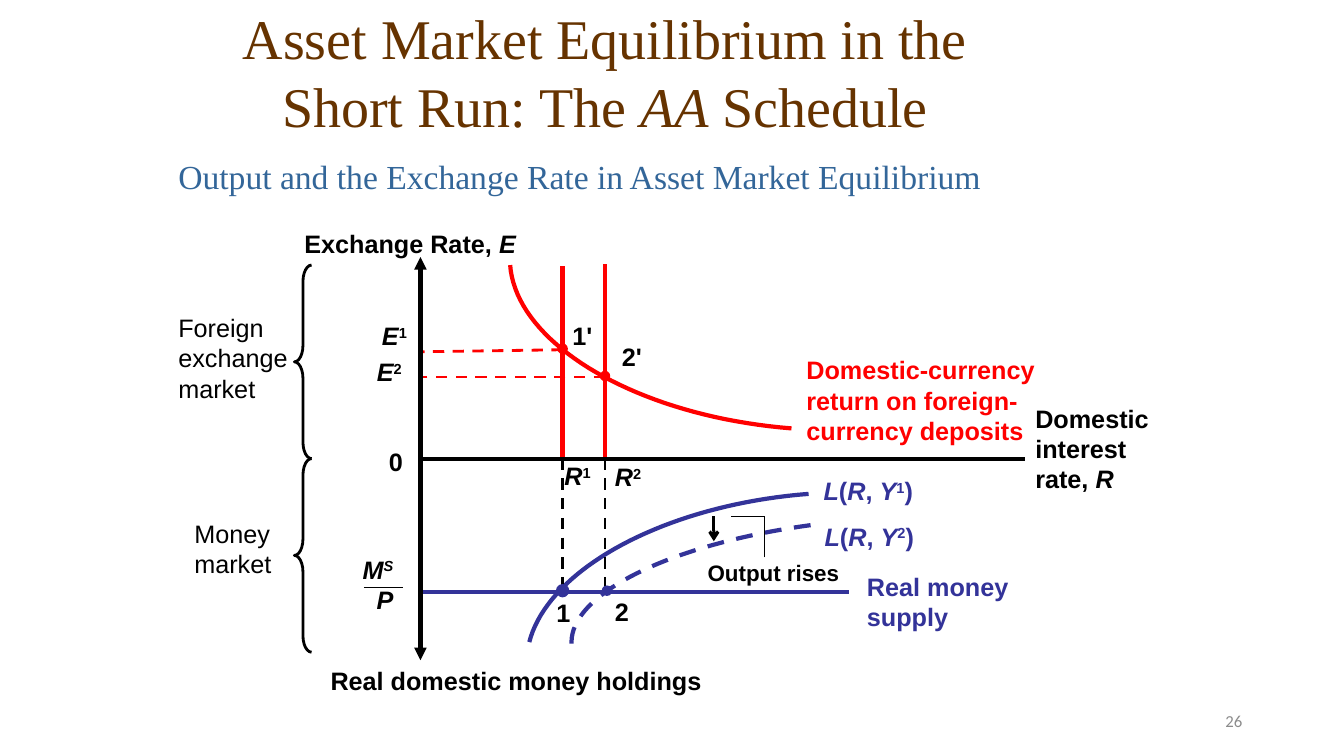
import lxml.etree
import pptx
import pptx.util
import pptx.dml.color
import pptx.enum.dml
import pptx.enum.shapes
import pptx.enum.text
import pptx.oxml.ns
from dataclasses import dataclass

Inches = pptx.util.Inches
ALIGN = pptx.enum.text.PP_ALIGN
ANCHOR = pptx.enum.text.MSO_ANCHOR
SHAPE = pptx.enum.shapes.MSO_SHAPE
COLORS = {"black": "000000", "red": "FF0000", "blue": "333399",
          "brown": "663300", "steel": "336699", "gray": "8C8C8C"}

# Shared places on the two-part graph
AXIS_X, AXIS_Y = 4.17, 4.55
RATE_1, RATE_2 = 5.58, 6
SUPPLY_Y = 5.87
DOT = 0.09


@dataclass
class Run:
    text: str
    slant: bool = False
    raised: bool = False


@dataclass
class Label:
    lines: list[list[Run]]
    box: tuple[float, float, float, float]
    color: str = "black"
    bold: bool = True
    size: float = 18
    font: str = "Arial"
    align: ALIGN = ALIGN.LEFT
    anchor: ANCHOR = ANCHOR.TOP


@dataclass
class Line:
    start: tuple[float, float]
    end: tuple[float, float]
    color: str = "black"
    width: float = 3
    dash: bool = False
    head: str = ""
    tail: str = ""


@dataclass
class Curve:
    points: list[tuple[float, float]]
    color: str
    dash: bool = False


@dataclass
class Dot:
    x: float
    y: float
    color: str
    width: float = 1


def plain(*texts: str) -> list[list[Run]]:
    return [[Run(text)] for text in texts]


def power(letter: str, mark: str, slant: bool = False) -> list[Run]:
    return [Run(letter, True), Run(mark, slant, True)]


def demand(mark: str) -> list[list[Run]]:
    return [[Run("L", True), Run("("), Run("R", True), Run(", "),
             *power("Y", mark), Run(")")]]


def tint(name: str) -> pptx.dml.color.RGBColor:
    return pptx.dml.color.RGBColor.from_string(COLORS[name])


def style_line(line, color: str, width: float, dash: bool = False) -> None:
    line.color.rgb = tint(color)
    line.width = pptx.util.Pt(width)
    if dash:
        line.dash_style = pptx.enum.dml.MSO_LINE.DASH


def write(shape, label: Label) -> None:
    shape.left, shape.top, shape.width, shape.height = map(Inches, label.box)
    frame = shape.text_frame
    frame.word_wrap = True
    frame.auto_size = pptx.enum.text.MSO_AUTO_SIZE.NONE
    frame.vertical_anchor = label.anchor
    for i, runs in enumerate(label.lines):
        para = frame.add_paragraph() if i else frame.paragraphs[0]
        para.alignment = label.align
        for part in runs:
            run = para.add_run()
            run.text = part.text
            run.font.name = label.font
            run.font.size = pptx.util.Pt(label.size)
            run.font.bold = label.bold
            run.font.italic = part.slant
            run.font.color.rgb = tint(label.color)
            if part.raised:
                run._r.get_or_add_rPr().set("baseline", "30000")


def add_node(parent, tag: str):
    return lxml.etree.SubElement(parent, pptx.oxml.ns.qn(tag))


def draw_line(shapes, item: Line) -> None:
    ends = map(Inches, (*item.start, *item.end))
    shape = shapes.add_connector(pptx.enum.shapes.MSO_CONNECTOR.STRAIGHT, *ends)
    style_line(shape.line, item.color, item.width, item.dash)
    for tag, kind in (("a:headEnd", item.head), ("a:tailEnd", item.tail)):
        if kind:
            add_node(shape.line._get_or_add_ln(), tag).set("type", kind)
    add_node(shape._element.spPr, "a:effectLst")


def draw_curve(shapes, item: Curve, steps: int = 40) -> None:
    spots = []
    for i in range(steps + 1):
        t = i / steps
        parts = ((1 - t) ** 3, 3 * t * (1 - t) ** 2, 3 * t * t * (1 - t), t ** 3)
        spots.append(tuple(Inches(sum(w * p[k] for w, p in zip(parts, item.points)))
                           for k in (0, 1)))
    maker = shapes.build_freeform(*spots[0])
    maker.add_line_segments(spots[1:], close=False)
    shape = maker.convert_to_shape()
    shape.shadow.inherit = False
    shape.fill.background()
    style_line(shape.line, item.color, 3, item.dash)


def draw_dot(shapes, item: Dot) -> None:
    shape = shapes.add_shape(SHAPE.OVAL, Inches(item.x - DOT / 2),
                             Inches(item.y - DOT / 2), Inches(DOT), Inches(DOT))
    shape.shadow.inherit = False
    shape.fill.solid()
    shape.fill.fore_color.rgb = tint(item.color)
    style_line(shape.line, item.color, item.width)


def draw_brace(shapes, top: float) -> None:
    shape = shapes.add_shape(SHAPE.LEFT_BRACE, Inches(2.92), Inches(top),
                             Inches(0.17), Inches(1.92))
    shape.adjustments[0] = 0.96
    shape.shadow.inherit = False
    shape.fill.background()
    style_line(shape.line, "black", 2)


TITLE = Label([[Run("Asset Market Equilibrium in the Short Run: The "),
                Run("AA", True), Run(" Schedule")]], (1.75, 0.08, 8.5, 1.25),
              "brown", False, 40, "Times New Roman", ALIGN.CENTER, ANCHOR.MIDDLE)

CURVES = [
    Curve([(7.85, 4.25), (6.33, 4.13), (5.12, 3.42), (5.06, 2.63)], "red"),
    Curve([(8.04, 5.21), (6.64, 5.4), (5.63, 5.9), (5.67, 6.4)], "blue", True),
    Curve([(8.02, 4.9), (6.6, 5.01), (5.44, 5.64), (5.25, 6.37)], "blue"),
]

LINES = [
    # Exchange rates and returns
    Line((RATE_2, 3.74), (AXIS_X, 3.74), "red", 2, True),
    Line((RATE_1, 3.47), (AXIS_X, 3.49), "red", 2, True),
    Line((RATE_2, 2.62), (RATE_2, AXIS_Y), "red"),
    Line((RATE_1, 2.64), (RATE_1, AXIS_Y), "red"),
    # Money supply and its fraction bar
    Line((3.61, 5.83), (4, 5.83), width=0.75),
    Line((AXIS_X, SUPPLY_Y), (8.42, SUPPLY_Y), "blue"),
    Line((RATE_1, AXIS_Y), (RATE_1, SUPPLY_Y), width=2, dash=True),
    Line((RATE_2, AXIS_Y), (RATE_2, SUPPLY_Y), width=2, dash=True),
    # Axes
    Line((AXIS_X, 2.55), (AXIS_X, 6.55), head="triangle", tail="triangle"),
    Line((AXIS_X, AXIS_Y), (10.17, AXIS_Y)),
    # Output shift
    Line((7.08, 5.12), (7.08, 5.37), width=2.25, tail="arrow"),
    Line((7.58, 5.53), (7.58, 5.12), width=0.75),
    Line((7.58, 5.12), (7.25, 5.12), width=0.75),
]

DOTS = [Dot(RATE_2, 3.73, "red"), Dot(RATE_1, 3.46, "red"),
        Dot(RATE_1, 5.86, "blue", 3), Dot(6.02, 5.86, "blue")]

LABELS = [
    Label(plain("Output and the Exchange Rate in Asset Market Equilibrium"),
          (1.67, 1.33, 10, 0.67), "steel", False, 24, "Times New Roman",
          anchor=ANCHOR.BOTTOM),
    # Foreign exchange market
    Label([[Run("Exchange Rate, "), Run("E", True)]], (2.92, 2.22, 2.58, 0.4)),
    Label(plain("Foreign", "exchange", "market"), (1.67, 3.05, 1.35, 1), bold=False),
    Label(plain("Domestic-currency", "return on foreign-", "currency deposits"),
          (7.9, 3.47, 2.6, 1), "red"),
    Label([power("E", "1")], (3.69, 3.13, 0.6, 0.4)),
    Label([power("E", "2")], (3.64, 3.49, 0.6, 0.4)),
    Label(plain("1'"), (5.58, 3.13, 0.5, 0.4)),
    Label(plain("2'"), (6.07, 3.34, 0.5, 0.4)),
    # Interest rate axis
    Label(plain("0"), (3.76, 4.38, 0.4, 0.4)),
    Label([power("R", "1")], (5.5, 4.52, 0.62, 0.4)),
    Label([power("R", "2")], (6, 4.53, 0.75, 0.4)),
    Label([[Run("Domestic interest")], [Run("rate, "), Run("R", True)]],
          (10.17, 3.95, 1.83, 1)),
    # Money market
    Label(plain("Money", "market"), (1.83, 5.09, 1.1, 0.7), bold=False),
    Label([power("M", "S", True), [Run("P", True)]], (3, 5.45, 1, 0.7),
          align=ALIGN.RIGHT),
    Label(plain("Real money", "supply"), (8.5, 5.62, 2, 0.7), "blue"),
    Label(demand("1"), (8.07, 4.67, 1.3, 0.4), "blue"),
    Label(demand("2"), (8.08, 5.12, 1.3, 0.4), "blue"),
    Label(plain("1"), (5.42, 5.88, 0.4, 0.4)),
    Label(plain("2"), (6, 5.87, 0.4, 0.4)),
    Label(plain("Output rises"), (6.92, 5.5, 1.6, 0.37), size=16),
    Label(plain("Real domestic money holdings"), (3.18, 6.55, 4.07, 0.4)),
    # Slide number
    Label(plain("26"), (9.42, 6.95, 3, 0.4), "gray", False, 12, "Calibri",
          ALIGN.RIGHT, ANCHOR.MIDDLE),
]


def main() -> None:
    deck = pptx.Presentation()
    deck.slide_width, deck.slide_height = Inches(13.33), Inches(7.5)
    shapes = deck.slides.add_slide(deck.slide_layouts[5]).shapes
    write(shapes.title, TITLE)
    for curve in CURVES:
        draw_curve(shapes, curve)
    for top in (2.63, AXIS_Y):
        draw_brace(shapes, top)
    for line in LINES:
        draw_line(shapes, line)
    for dot in DOTS:
        draw_dot(shapes, dot)
    for label in LABELS:
        write(shapes.add_textbox(*map(Inches, label.box)), label)
    deck.save("out.pptx")


if __name__ == "__main__":
    main()
